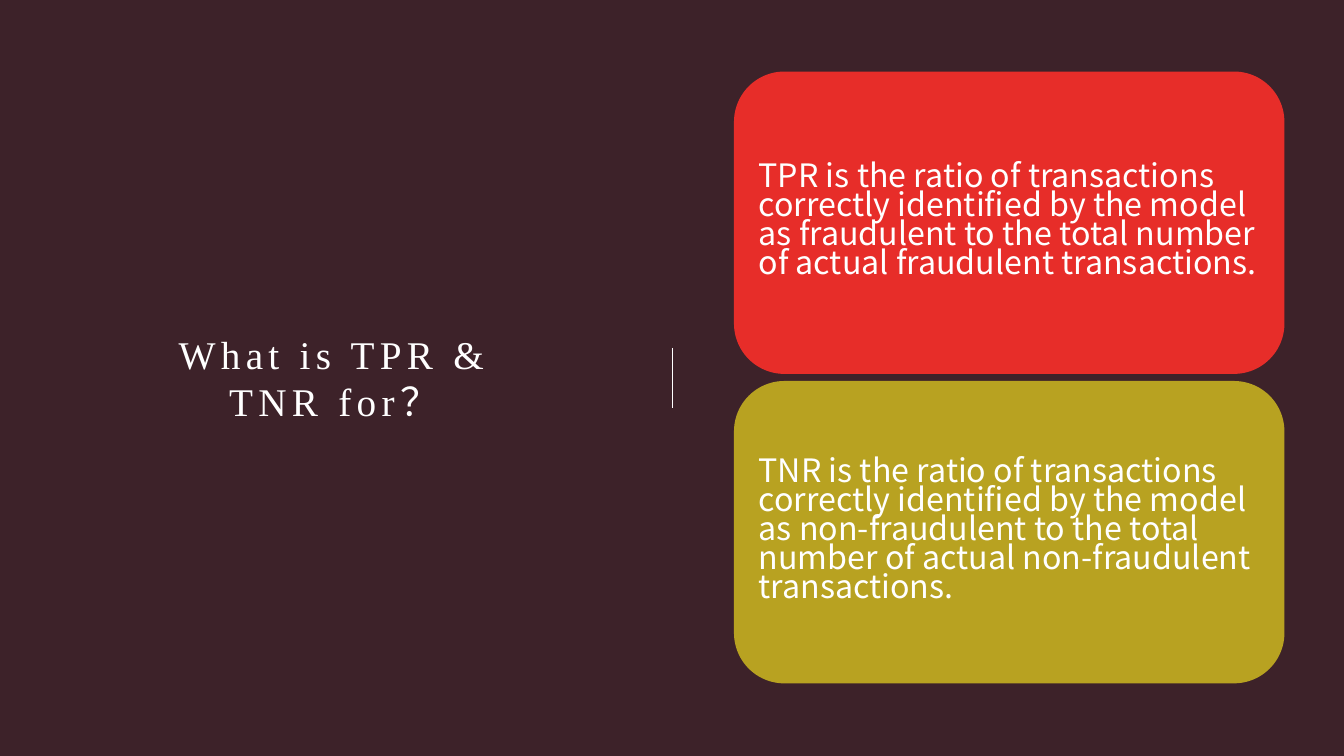
from pptx import Presentation
from pptx.dml.color import RGBColor
from pptx.enum.shapes import MSO_CONNECTOR, MSO_SHAPE
from pptx.enum.text import MSO_ANCHOR, PP_ALIGN
from pptx.util import Inches, Pt
from lxml import etree

ROUNDED = MSO_SHAPE.ROUNDED_RECTANGLE
STRAIGHT = MSO_CONNECTOR.STRAIGHT
MIDDLE = MSO_ANCHOR.MIDDLE
LEFT, CENTER = PP_ALIGN.LEFT, PP_ALIGN.CENTER
A_NS = "http://schemas.openxmlformats.org/drawingml/2006/main"

BACKGROUND, WHITE = "3D2229", "FFFFFF"
CARDS = [
    ("E72D29", "TPR is the ratio of transactions correctly identified by the model "
               "as fraudulent to the total number of actual fraudulent transactions."),
    ("B8A221", "TNR is the ratio of transactions correctly identified by the model "
               "as non-fraudulent to the total number of actual non-fraudulent "
               "transactions."),
]
CARD_TOP, CARD_PITCH = 0.71, 3.07


def color(value):
    return RGBColor.from_string(value)


def set_text(shape, text, font, size, align, inset):
    tf = shape.text_frame
    tf.text = text
    tf.word_wrap = True
    tf.vertical_anchor = MIDDLE
    tf.margin_left = tf.margin_right = Inches(inset)
    tf.margin_top = tf.margin_bottom = Inches(inset)
    p = tf.paragraphs[0]
    p.alignment = align
    r = p.runs[0]
    r.font.name = font
    r.font.size = Pt(size)
    r.font.color.rgb = color(WHITE)
    return p


def add_title(s, text):
    box = s.shapes.add_textbox(Inches(1.18), Inches(1.18), Inches(4.27), Inches(5.13))
    p = set_text(box, text, "Times New Roman", 28, CENTER, 0.12)
    # Letter spacing in hundredths of a point
    p.runs[0].font._element.set("spc", "380")


def add_divider(s):
    line = s.shapes.add_connector(
        STRAIGHT, Inches(6.67), Inches(3.45), Inches(6.67), Inches(4.05))
    line.line.color.rgb = color(WHITE)
    line.line.width = Pt(1)
    etree.SubElement(line._element.spPr, f"{{{A_NS}}}effectLst")


def add_card(s, top, fill, text):
    card = s.shapes.add_shape(
        ROUNDED, Inches(7.28), Inches(top), Inches(5.46), Inches(3))
    card.shadow.inherit = False
    card.fill.solid()
    card.fill.fore_color.rgb = color(fill)
    card.line.fill.background()
    p = set_text(card, text, "Noto Sans CJK SC", 23, LEFT, 0.1)
    p.line_spacing = 0.75


def main():
    prs = Presentation()
    prs.slide_width, prs.slide_height = Inches(13.33), Inches(7.5)
    s = prs.slides.add_slide(prs.slide_layouts[6])
    s.background.fill.solid()
    s.background.fill.fore_color.rgb = color(BACKGROUND)

    # Question on the left, divider in the middle
    add_title(s, "What is TPR & TNR for？")
    add_divider(s)

    # Definitions on the right
    for i, (fill, text) in enumerate(CARDS):
        add_card(s, CARD_TOP + i * CARD_PITCH, fill, text)

    prs.save("out.pptx")


if __name__ == "__main__":
    main()
